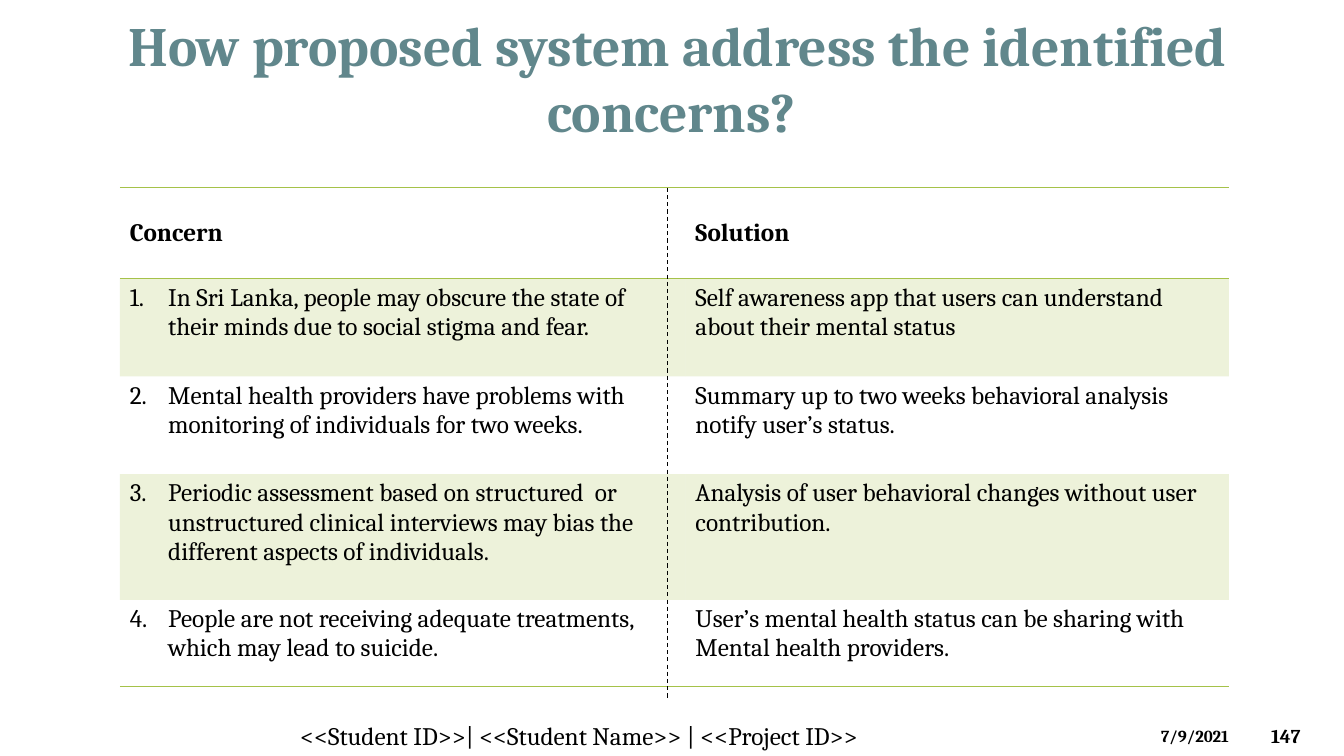
import collections

import pptx
import pptx.dml.color
import pptx.enum.dml
import pptx.enum.shapes
import pptx.enum.text
import pptx.oxml
import pptx.oxml.ns
import pptx.util

Box = collections.namedtuple("Box", "left top width height")
SLIDE = Box(0, 0, pptx.util.Inches(13.33), pptx.util.Inches(7.5))

INK = "000000"
WHITE = "FFFFFF"
TEAL = "61878C"
GREEN = "A5C249"
NO_TABLE_STYLE = "{2D5ABB26-0587-4C30-8999-92F81FD0307C}"
ANCHOR = pptx.enum.text.MSO_ANCHOR
NUMBER_INDENT = pptx.util.Inches(0.38)

TITLE = "How proposed system address the identified concerns? "
HEADINGS = ("Concern", "Solution")
CONCERNS = [
    ("In Sri Lanka, people may obscure the state of their minds due to social stigma and fear.",
     "Self awareness app that users can understand about their mental status"),
    ("Mental health providers have problems with monitoring of individuals for two weeks.",
     "Summary up to two weeks behavioral analysis notify user’s status."),
    ("Periodic assessment based on structured  or unstructured clinical interviews may bias the different aspects of individuals.",
     "Analysis of user behavioral changes without user contribution."),
    ("People are not receiving adequate treatments, which may lead to suicide.",
     "User’s mental health status can be sharing with Mental health providers."),
]
COLUMN_SHARES = (51, 49)
ROW_SHARES = (18.2, 19.6, 19.6, 25.2, 17.4)
FOOTER_PEAKS = [
    ((0, -2.5, 100, 102.5), 0.63),
    ((0, 50, 100, 50), 0.39),
]
FOOTER_PARTS = [
    ("<<Student ID>>| <<Student Name>> | <<Project ID>>", (21.6, 0, 71.27, 100), 18, False, ANCHOR.MIDDLE),
    ("7/9/2021", (85.65, 12.5, 7.5, 75), 12, True, ANCHOR.TOP),
    ("147", (93.83, 0, 5.55, 100), 14, True, ANCHOR.MIDDLE),
]


def color(value):
    return pptx.dml.color.RGBColor.from_string(value)


def share(box, left, top, width, height):
    return Box(
        int(box.left + box.width * left / 100),
        int(box.top + box.height * top / 100),
        int(box.width * width / 100),
        int(box.height * height / 100),
    )


def apply(target, settings):
    for attribute, value in settings.items():
        setattr(target, attribute, value)


def write(paragraph, text, size, bold=False, ink=INK):
    run = paragraph.add_run()
    run.text = text
    apply(run.font, {"name": "Cambria", "size": pptx.util.Pt(size), "bold": bold})
    run.font.color.rgb = color(ink)


def tint(fill, properties, ink):
    fill.solid()
    fill.fore_color.rgb = color(ink)
    solid = properties.find(pptx.oxml.ns.qn("a:solidFill"))
    solid[0].append(pptx.oxml.parse_xml(
        f'<a:alpha {pptx.oxml.ns.nsdecls("a")} val="20000"/>'))


def add_heading(slide, box):
    heading = slide.shapes.title
    apply(heading, box._asdict())
    apply(heading.text_frame, {
        "word_wrap": True,
        "auto_size": pptx.enum.text.MSO_AUTO_SIZE.NONE,
        "vertical_anchor": ANCHOR.MIDDLE,
    })
    paragraph = heading.text_frame.paragraphs[0]
    paragraph.alignment = pptx.enum.text.PP_ALIGN.CENTER
    write(paragraph, TITLE, 39.6, True, TEAL)


def rule_cell(cell, edges):
    properties = cell._tc.get_or_add_tcPr()
    for edge in edges:
        properties.append(pptx.oxml.parse_xml(
            f'<a:{edge} {pptx.oxml.ns.nsdecls("a")} w="12700"><a:solidFill>'
            f'<a:srgbClr val="{GREEN}"/></a:solidFill></a:{edge}>'))


def number_paragraph(paragraph, number):
    properties = paragraph._p.get_or_add_pPr()
    properties.set("marL", str(NUMBER_INDENT))
    properties.set("indent", str(-NUMBER_INDENT))
    properties.append(pptx.oxml.parse_xml(
        f'<a:buFont {pptx.oxml.ns.nsdecls("a")} typeface="+mj-lt"/>'))
    properties.append(pptx.oxml.parse_xml(
        f'<a:buAutoNum {pptx.oxml.ns.nsdecls("a")} type="arabicPeriod" startAt="{number}"/>'))


def add_concern_table(slide, box):
    rows = [HEADINGS] + CONCERNS
    table = slide.shapes.add_table(len(rows), len(HEADINGS), *box).table
    apply(table, {"first_row": True, "horz_banding": True})
    table._tbl.tblPr.find(pptx.oxml.ns.qn("a:tableStyleId")).text = NO_TABLE_STYLE
    for column, portion in zip(table.columns, COLUMN_SHARES):
        column.width = int(box.width * portion / 100)
    for row, portion in zip(table.rows, ROW_SHARES):
        row.height = int(box.height * portion / 100)

    edges = {0: ("lnT", "lnB"), len(CONCERNS): ("lnB",)}
    for number, texts in enumerate(rows):
        for side, text in enumerate(texts):
            cell = table.cell(number, side)
            cell.vertical_anchor = ANCHOR.TOP if number else ANCHOR.MIDDLE
            rule_cell(cell, edges.get(number, ()))
            if number % 2:
                tint(cell.fill, cell._tc.tcPr, GREEN)
            else:
                cell.fill.background()
            paragraph = cell.text_frame.paragraphs[0]
            if number and side == 0:
                number_paragraph(paragraph, number)
            write(paragraph, text, 18, bold=number == 0)


def add_divider(slide, box):
    span = share(box, 49.38, 0, 0, 102.6)
    divider = slide.shapes.add_connector(
        pptx.enum.shapes.MSO_CONNECTOR.STRAIGHT,
        span.left, span.top, span.left, span.top + span.height)
    divider.line.color.rgb = color(INK)
    apply(divider.line, {
        "width": pptx.util.Pt(0.75),
        "dash_style": pptx.enum.dml.MSO_LINE.DASH,
    })
    divider._element.spPr.append(pptx.oxml.parse_xml(
        f'<a:effectLst {pptx.oxml.ns.nsdecls("a")}/>'))


def add_footer(slide, box):
    for portion, summit in FOOTER_PEAKS:
        peak = slide.shapes.add_shape(
            pptx.enum.shapes.MSO_SHAPE.ISOSCELES_TRIANGLE, *share(box, *portion))
        peak.adjustments[0] = summit
        peak.shadow.inherit = False
        peak.line.fill.background()
        tint(peak.fill, peak._element.spPr, WHITE)
    for text, portion, size, bold, anchor in FOOTER_PARTS:
        frame = slide.shapes.add_textbox(*share(box, *portion)).text_frame
        apply(frame, {"word_wrap": True, "vertical_anchor": anchor})
        write(frame.paragraphs[0], text, size, bold)


def add_concern_slide(deck):
    slide = deck.slides.add_slide(deck.slide_layouts[5])
    table_box = share(SLIDE, 8.91, 24.85, 82.52, 66)
    add_footer(slide, share(SLIDE, 0, 94.67, 100, 5.33))
    add_heading(slide, share(SLIDE, 2.48, 4.4, 95.87, 11.6))
    add_concern_table(slide, table_box)
    add_divider(slide, table_box)


def main():
    deck = pptx.Presentation()
    apply(deck, {"slide_width": SLIDE.width, "slide_height": SLIDE.height})
    add_concern_slide(deck)
    deck.save("out.pptx")


if __name__ == "__main__":
    main()
